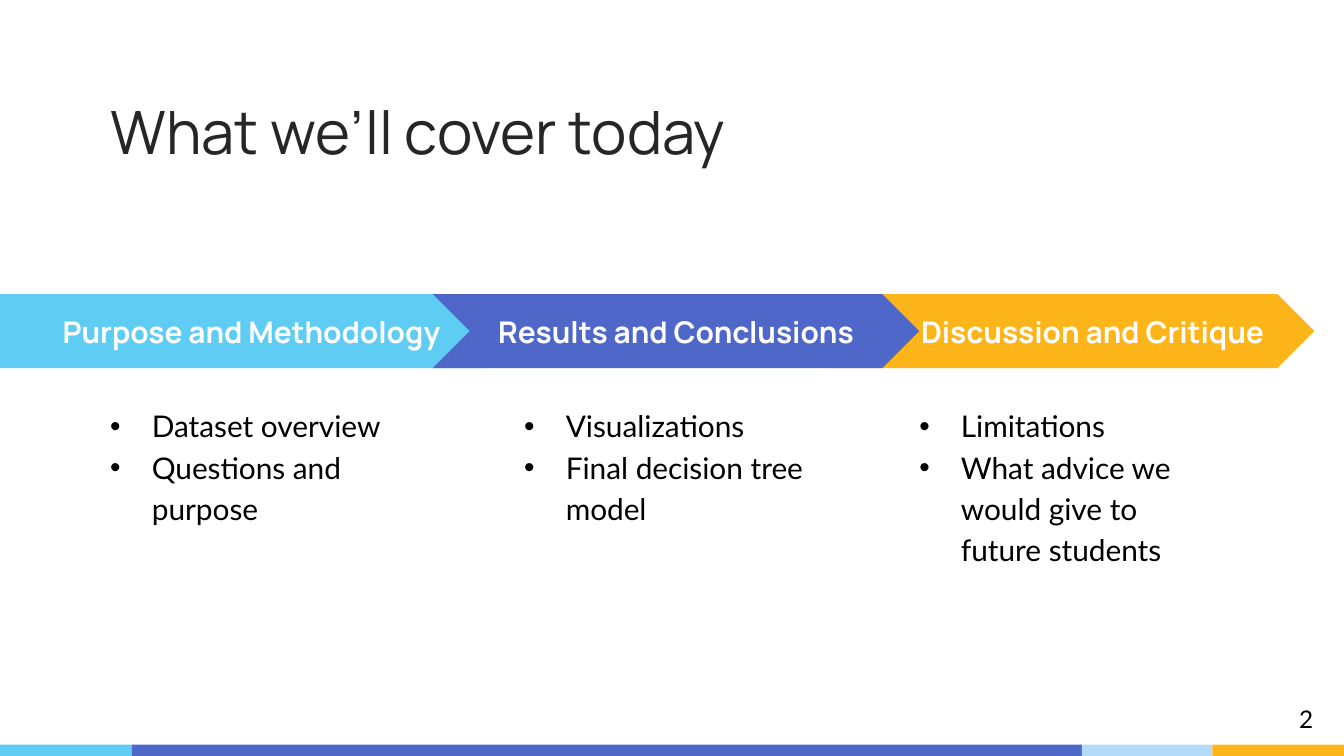
from itertools import pairwise

from lxml import etree
from pptx import Presentation, util as u
from pptx.dml.color import RGBColor
from pptx.enum import shapes, text
from pptx.oxml.ns import qn

CYAN, BLUE, PALE, AMBER = "5ECCF3", "4E67C8", "B4DCFA", "FDB519"
WHITE, BLACK, CHARCOAL = "FFFFFF", "000000", "262626"


def color(value):
    return RGBColor.from_string(value)


class Canvas:
    heading_font = "Manrope"
    body_font = "Lato"
    inset = u.Inches(0.1)
    indent = u.Inches(0.31)

    def __init__(self, deck, layout):
        self.deck = deck
        self.page = deck.slides.add_slide(deck.slide_layouts[layout])

    def area(self, left, top, width, height):
        across, down = self.deck.slide_width / 100, self.deck.slide_height / 100
        return [round(n) for n in (left * across, top * down, width * across, height * down)]

    def place(self, box, *area):
        box.left, box.top, box.width, box.height = self.area(*area)

    def frame(self, box, anchor):
        frame = box.text_frame
        frame.word_wrap = True
        frame.auto_size = text.MSO_AUTO_SIZE.NONE
        frame.vertical_anchor = anchor
        frame.margin_left = frame.margin_right = self.inset
        frame.margin_top = frame.margin_bottom = self.inset
        return frame

    def style(self, para, font, size, ink, align=text.PP_ALIGN.LEFT, bold=False):
        para.alignment = align
        para.space_before = u.Pt(0)
        para.font.name, para.font.size, para.font.bold = font, u.Pt(size), bold
        para.font.color.rgb = color(ink)

    def title(self, wording, *area):
        box = self.page.shapes.title
        self.place(box, *area)
        para = self.frame(box, text.MSO_ANCHOR.BOTTOM).paragraphs[0]
        para.text = wording
        self.style(para, self.heading_font, 32, CHARCOAL)

    def bullets(self, index, items, *area):
        box = self.page.placeholders[index]
        self.place(box, *area)
        frame = self.frame(box, text.MSO_ANCHOR.TOP)
        frame.text = "\n".join(items)
        for para in frame.paragraphs:
            para.line_spacing = 1.15
            self.style(para, self.body_font, 16, BLACK)
            properties = para._p.get_or_add_pPr()
            properties.set("marL", str(self.indent))
            properties.set("indent", str(-self.indent))
            bullet = etree.Element(qn("a:buChar"), char="•")
            properties.find(qn("a:defRPr")).addprevious(bullet)

    def block(self, kind, fill, *area):
        box = self.page.shapes.add_shape(kind, *self.area(*area))
        box.shadow.inherit = False
        box.fill.solid()
        box.fill.fore_color.rgb = color(fill)
        box.line.fill.background()
        return box

    def step(self, kind, fill, wording, align, *area):
        box = self.block(kind, fill, *area)
        para = self.frame(box, text.MSO_ANCHOR.MIDDLE).paragraphs[0]
        para.text = wording
        self.style(para, self.heading_font, 16, WHITE, align, True)

    def page_number(self, number, *area):
        box = self.page.shapes.add_textbox(*self.area(*area))
        para = self.frame(box, text.MSO_ANCHOR.TOP).paragraphs[0]
        para.text = str(number)
        self.style(para, self.body_font, 13, BLACK, text.PP_ALIGN.RIGHT)

    def remove_empty(self):
        for box in list(self.page.placeholders):
            if not box.text_frame.text:
                box.element.getparent().remove(box.element)


def main():
    deck = Presentation()
    deck.slide_width = u.Inches(10)
    deck.slide_height = u.Inches(10 * 9 / 16)
    canvas = Canvas(deck, 4)

    edges = pairwise((0, 9.8, 80.5, 90.2, 100))
    for (left, right), fill in zip(edges, (CYAN, BLUE, PALE, AMBER)):
        canvas.block(shapes.MSO_SHAPE.RECTANGLE, fill, left, 98.5, right - left, 1.5)

    canvas.title("What we’ll cover today", 7.2, 7.1, 70.7, 16.7)

    chevron, pentagon = shapes.MSO_SHAPE.CHEVRON, shapes.MSO_SHAPE.PENTAGON
    center, right = text.PP_ALIGN.CENTER, text.PP_ALIGN.RIGHT
    topics = [
        (chevron, AMBER, "Discussion and Critique", right, 61.6, 36.2, 67.4, 4,
         ["Limitations", "What advice we would give to future students"]),
        (pentagon, CYAN, "Purpose and Methodology", center, 0, 38.8, 7.2, 1,
         ["Dataset overview", "Questions and purpose"]),
        (chevron, BLUE, "Results and Conclusions", center, 32.2, 36.2, 38, 2,
         ["Visualizations", "Final decision tree model"]),
    ]
    for kind, fill, wording, align, left, width, list_left, index, items in topics:
        canvas.step(kind, fill, wording, align, left, 38.9, width, 9.8)
        canvas.bullets(index, items, list_left, 51.5, 24.5, 38.2)

    canvas.page_number(2, 92.7, 91.4, 6, 6)
    canvas.remove_empty()
    deck.save("out.pptx")


if __name__ == "__main__":
    main()
